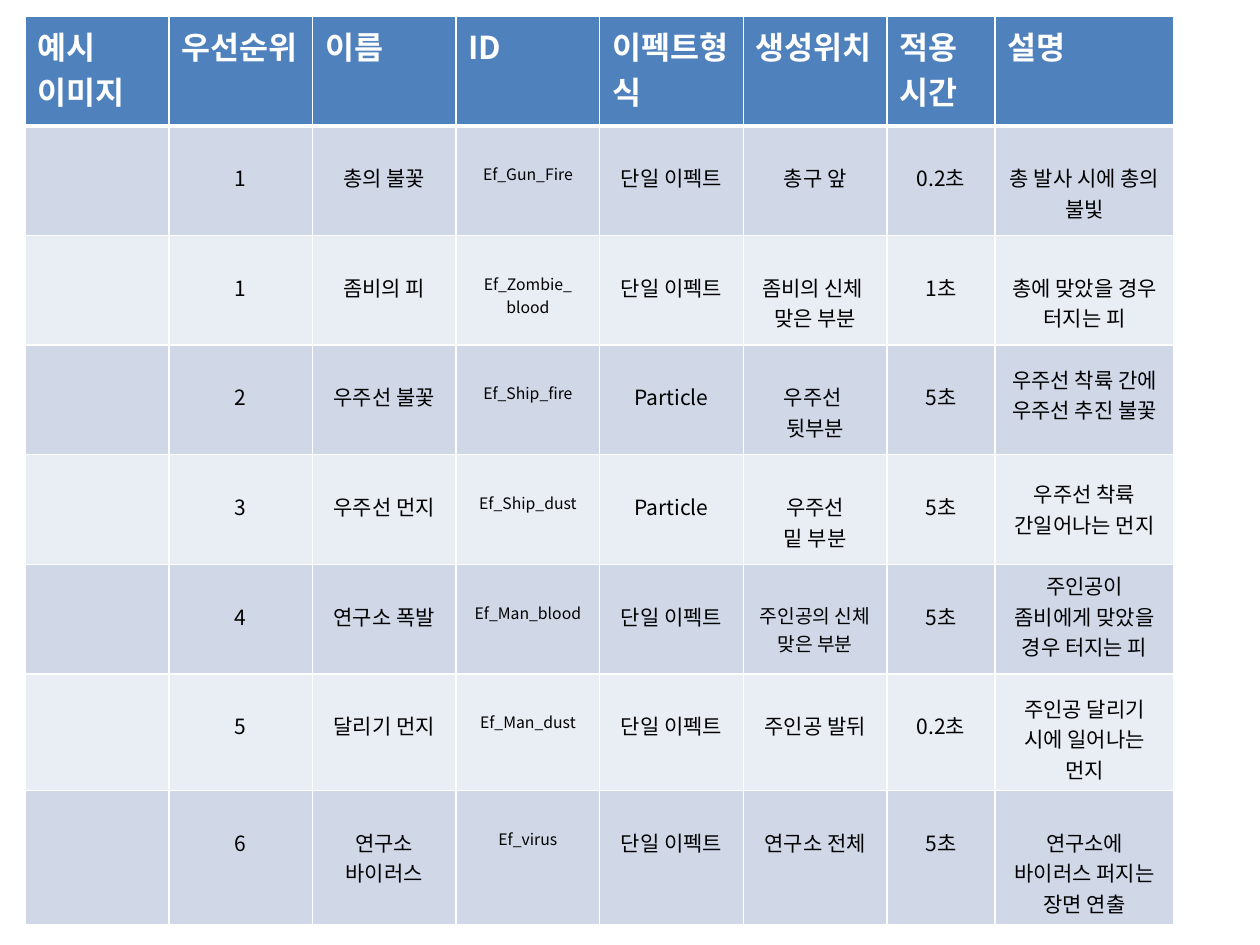
from lxml import etree
from pptx import Presentation
from pptx.dml.color import RGBColor
from pptx.enum.text import PP_ALIGN
from pptx.oxml.ns import qn
from pptx.util import Inches, Pt

CENTER = PP_ALIGN.CENTER
LEFT = PP_ALIGN.LEFT
BLANK_LAYOUT = 6
FONT = "Noto Sans CJK KR"
COLORS = {
    "header": "4F81BD",
    "odd_row": "D0D8E8",
    "even_row": "E9EDF4",
    "border": "FFFFFF",
    "header_text": "FFFFFF",
    "body_text": "000000",
}
COLUMN_WIDTHS = [1.14] * 6 + [0.86, 1.42]
ROW_HEIGHT = 0.87
BODY_TOP = 0.29
ID_COLUMN, PLACE_COLUMN, DESCRIPTION_COLUMN = 3, 5, 7

HEADERS = ["예시 이미지", "우선순위", "이름", "ID", "이펙트형식", "생성위치", "적용시간", "설명"]
EFFECTS = [
    ["", "1", "총의 불꽃", "Ef_Gun_Fire", "단일 이펙트", "총구 앞", "0.2초",
     "총 발사 시에 총의 불빛"],
    ["", "1", "좀비의 피", "Ef_Zombie_\nblood", "단일 이펙트", "좀비의 신체 \n맞은 부분", "1초",
     "총에 맞았을 경우 터지는 피"],
    ["", "2", "우주선 불꽃", "Ef_Ship_fire", "Particle", "우주선 \n뒷부분", "5초",
     "우주선 착륙 간에 우주선 추진 불꽃"],
    ["", "3", "우주선 먼지", "Ef_Ship_dust", "Particle", "우주선\n밑 부분", "5초",
     "우주선 착륙 간일어나는 먼지"],
    ["", "4", "연구소 폭발", "Ef_Man_blood", "단일 이펙트", "주인공의 신체 맞은 부분", "5초",
     "주인공이 좀비에게 맞았을 경우 터지는 피"],
    ["", "5", "달리기 먼지", "Ef_Man_dust", "단일 이펙트", "주인공 발뒤", "0.2초",
     "주인공 달리기\n시에 일어나는 먼지"],
    ["", "6", "연구소 바이러스", "Ef_virus", "단일 이펙트", "연구소 전체", "5초",
     "연구소에 바이러스 퍼지는 장면 연출"],
]
# Exceptions to the body style, by (row, column)
TOP_MARGINS = {
    (3, DESCRIPTION_COLUMN): 0.15,
    (4, DESCRIPTION_COLUMN): 0.19,
    (5, DESCRIPTION_COLUMN): 0.05,
    (6, DESCRIPTION_COLUMN): 0.15,
}
TEXT_SIZES = {(5, PLACE_COLUMN): 11}


def set_borders(cell, bottom_width):
    properties = cell._tc.get_or_add_tcPr()
    widths = {"a:lnL": 1, "a:lnR": 1, "a:lnT": 1, "a:lnB": bottom_width}
    for position, (tag, width) in enumerate(widths.items()):
        line = etree.Element(qn(tag), w=str(Pt(width)))
        fill = etree.SubElement(line, qn("a:solidFill"))
        etree.SubElement(fill, qn("a:srgbClr"), val=COLORS["border"])
        properties.insert(position, line)


def set_font(paragraph, size, color, bold):
    """Format a paragraph, using the same face for Latin and Korean text."""
    font = paragraph.font
    font.size = Pt(size)
    font.bold = bold
    font.color.rgb = RGBColor.from_string(color)
    font.name = FONT
    defaults = paragraph._p.pPr.find(qn("a:defRPr"))
    etree.SubElement(defaults, qn("a:ea"), typeface=FONT)


def fill_cell(cell, text, fill, size, color, bold=False, alignment=CENTER,
              top=0.05, bottom_width=1):
    cell.fill.solid()
    cell.fill.fore_color.rgb = RGBColor.from_string(fill)
    set_borders(cell, bottom_width)
    cell.margin_top = Inches(top)
    cell.text = text
    for paragraph in cell.text_frame.paragraphs:
        paragraph.alignment = alignment
        set_font(paragraph, size, color, bold)


def add_effect_table(slide):
    row_count, column_count = len(EFFECTS) + 1, len(HEADERS)
    table = slide.shapes.add_table(
        row_count, column_count, Inches(0.2), Inches(0.13),
        Inches(sum(COLUMN_WIDTHS)), Inches(ROW_HEIGHT * row_count)).table
    for column, width in zip(table.columns, COLUMN_WIDTHS):
        column.width = Inches(width)
    for row in table.rows:
        row.height = Inches(ROW_HEIGHT)

    for column, header in enumerate(HEADERS):
        fill_cell(table.cell(0, column), header, COLORS["header"], 18,
                  COLORS["header_text"], bold=True, alignment=LEFT, bottom_width=3)
    for row, effect in enumerate(EFFECTS, start=1):
        fill = COLORS["odd_row" if row % 2 else "even_row"]
        for column, text in enumerate(effect):
            default_size = 9 if column == ID_COLUMN else 12
            fill_cell(table.cell(row, column), text, fill,
                      TEXT_SIZES.get((row, column), default_size),
                      COLORS["body_text"],
                      top=TOP_MARGINS.get((row, column), BODY_TOP))


def main():
    presentation = Presentation()
    presentation.slide_width = Inches(10)
    presentation.slide_height = Inches(7.5)
    slide = presentation.slides.add_slide(presentation.slide_layouts[BLANK_LAYOUT])
    add_effect_table(slide)
    presentation.save("out.pptx")


if __name__ == "__main__":
    main()
